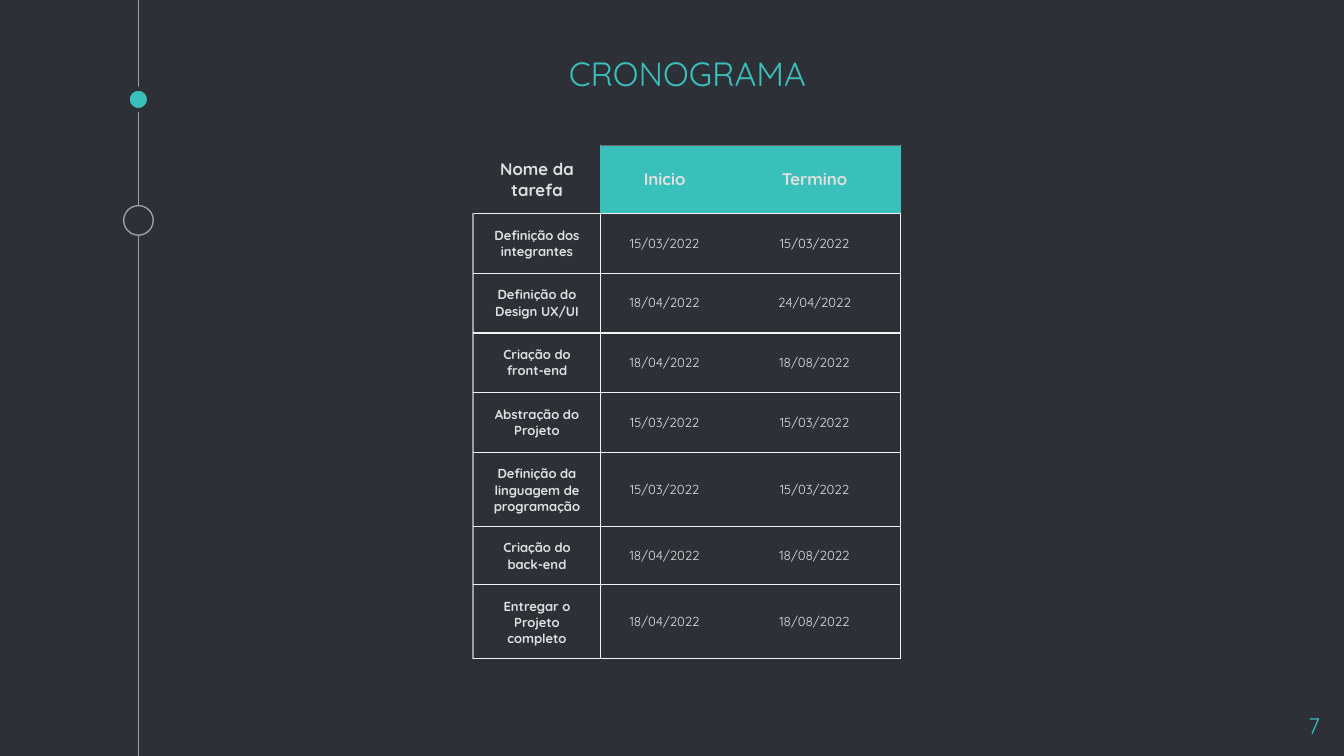
import pptx
import pptx.dml.color
import pptx.enum.shapes
import pptx.enum.text
import pptx.oxml
import pptx.oxml.ns
import pptx.util

Inches = pptx.util.Inches
ALIGN = pptx.enum.text.PP_ALIGN
ANCHOR = pptx.enum.text.MSO_ANCHOR
COLORS = {
    "background": "2E3037", "teal": "39C0BA", "gray": "999FA9",
    "text": "E0E0E0", "white": "F3F3F3", "dark": "666666",
}
FONT = "Quicksand"


def write_text(frame, text, size, color, alignment, bold=False):
    """Put one formatted paragraph into a text frame with even margins."""
    frame.word_wrap = True
    for side in ("left", "right", "top", "bottom"):
        setattr(frame, "margin_" + side, Inches(0.1))
    paragraph = frame.paragraphs[0]
    paragraph.alignment = alignment
    run = paragraph.add_run()
    run.text = text
    font_format = {"name": FONT, "size": pptx.util.Pt(size), "bold": bold}
    for attribute, value in font_format.items():
        setattr(run.font, attribute, value)
    run.font.color.rgb = pptx.dml.color.RGBColor.from_string(COLORS[color])


def set_borders(cell, borders):
    """Draw the named cell sides (L, R, T, B) and hide the others."""
    properties = cell._tc.get_or_add_tcPr()
    for side in "LRTB":
        fill = "<a:noFill/>"
        if side in borders:
            fill = f'<a:solidFill><a:srgbClr val="{COLORS[borders[side]]}"/></a:solidFill>'
        properties.append(pptx.oxml.parse_xml(
            f'<a:ln{side} {pptx.oxml.ns.nsdecls("a")} w="9525">{fill}</a:ln{side}>'))


presentation = pptx.Presentation()
presentation.slide_width = Inches(10)
presentation.slide_height = Inches(10 * 9 / 16)
slide = presentation.slides.add_slide(presentation.slide_layouts[5])
rgb = {name: pptx.dml.color.RGBColor.from_string(value) for name, value in COLORS.items()}
slide.background.fill.solid()
slide.background.fill.fore_color.rgb = rgb["background"]

# Timeline on the left
timeline_x = 1.03
timeline = slide.shapes.add_connector(
    pptx.enum.shapes.MSO_CONNECTOR.STRAIGHT,
    Inches(timeline_x), 0, Inches(timeline_x), presentation.slide_height)
timeline.line.color.rgb = rgb["gray"]
timeline.line.width = pptx.util.Pt(0.75)
timeline._element.spPr.append(
    pptx.oxml.parse_xml(f'<a:effectLst {pptx.oxml.ns.nsdecls("a")}/>'))

for center_y, diameter, fill, outline, width in [
    (0.74, 0.16, "teal", "background", 2.25),
    (1.64, 0.22, "background", "gray", 0.75),
]:
    dot = slide.shapes.add_shape(
        pptx.enum.shapes.MSO_SHAPE.OVAL,
        Inches(timeline_x - diameter / 2), Inches(center_y - diameter / 2),
        Inches(diameter), Inches(diameter))
    dot.shadow.inherit = False
    dot.fill.solid()
    dot.fill.fore_color.rgb = rgb[fill]
    dot.line.color.rgb = rgb[outline]
    dot.line.width = pptx.util.Pt(width)

# Title and slide number
title = slide.shapes.title
title_place = {"left": 1.46, "top": 0.29, "width": 7.31, "height": 0.63}
for attribute, value in title_place.items():
    setattr(title, attribute, Inches(value))
title.text_frame.vertical_anchor = ANCHOR.TOP
write_text(title.text_frame, "CRONOGRAMA", 18, "teal", ALIGN.CENTER)

number = slide.shapes.add_textbox(Inches(9.32), Inches(5.2), Inches(0.6), Inches(0.34))
write_text(number.text_frame, "7", 12, "teal", ALIGN.RIGHT)

# Schedule table
schedule = [
    ("Nome da tarefa", "Inicio", "Termino"),
    ("Definição dos integrantes", "15/03/2022", "15/03/2022"),
    ("Definição do Design UX/UI", "18/04/2022", "24/04/2022"),
    ("Criação do front-end", "18/04/2022", "18/08/2022"),
    ("Abstração do Projeto", "15/03/2022", "15/03/2022"),
    ("Definição da linguagem de programação", "15/03/2022", "15/03/2022"),
    ("Criação do back-end", "18/04/2022", "18/08/2022"),
    ("Entregar o Projeto completo", "18/04/2022", "18/08/2022"),
]
column_widths = [0.95, 0.95, 1.28]
row_heights = [0.51] + [4 / 9] * 4 + [0.39] * 3
table_height = 3.79
header_borders = [
    {"R": "teal", "B": "white"},
    {"L": "teal", "T": "dark", "B": "white"},
    {"T": "dark", "R": "teal", "B": "white"},
]
body_borders = [
    {"L": "gray", "T": "white", "R": "white", "B": "white"},
    {"L": "white", "T": "white", "B": "white"},
    {"T": "white", "R": "white", "B": "white"},
]
table_frame = slide.shapes.add_table(
    len(schedule), len(column_widths), Inches(3.52), Inches(1.08),
    Inches(sum(column_widths)), Inches(table_height))
table = table_frame.table
table.first_row = False
table.horz_banding = False
for column, width in zip(table.columns, column_widths):
    column.width = Inches(width)
for row, height in zip(table.rows, row_heights):
    row.height = Inches(height)
table_frame.height = Inches(table_height)

for row_index, entries in enumerate(schedule):
    is_header = row_index == 0
    for column_index, text in enumerate(entries):
        cell = table.cell(row_index, column_index)
        cell.vertical_anchor = ANCHOR.MIDDLE
        write_text(cell.text_frame, text, 9 if is_header else 7, "text",
                   ALIGN.CENTER, bold=is_header or column_index == 0)
        for side in ("left", "right", "top", "bottom"):
            setattr(cell, "margin_" + side, Inches(0.1))
        set_borders(cell, (header_borders if is_header else body_borders)[column_index])
        if is_header and column_index > 0:
            cell.fill.solid()
            cell.fill.fore_color.rgb = rgb["teal"]
        else:
            cell.fill.background()

presentation.save("out.pptx")
